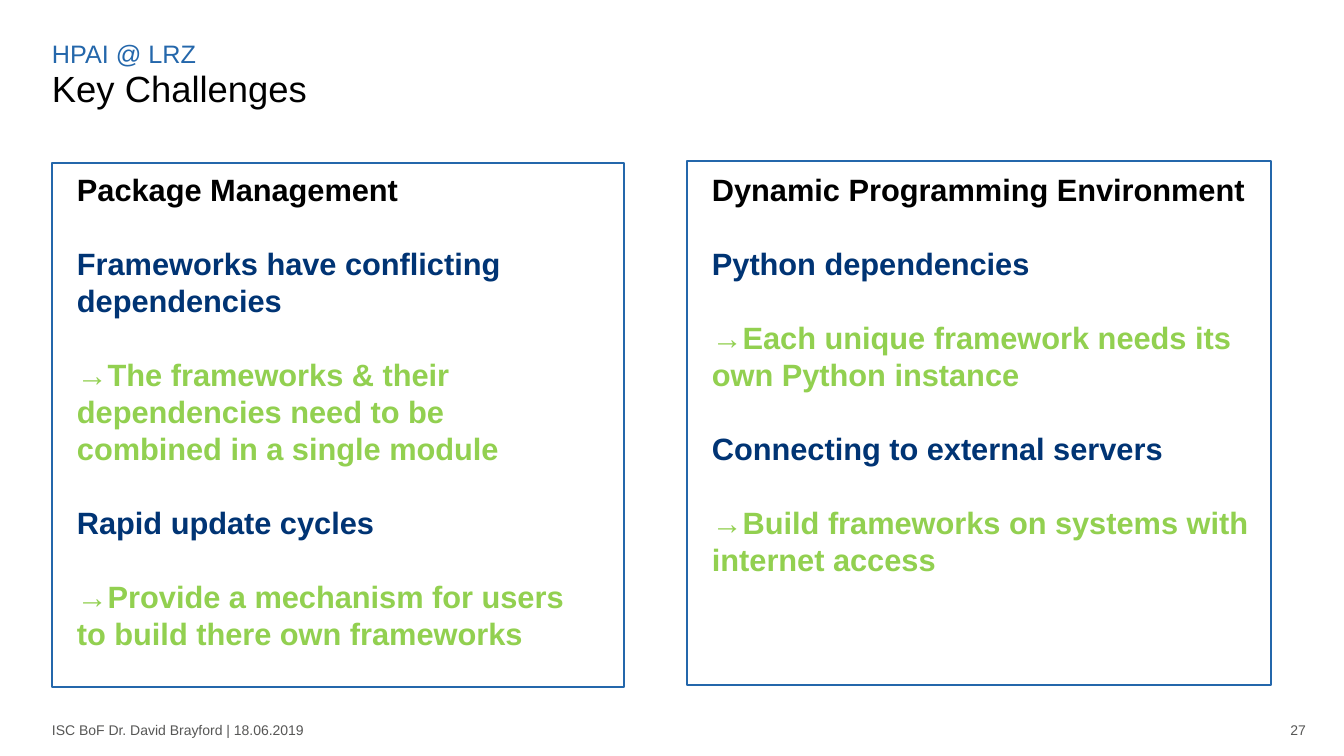
"""Build the Key Challenges slide with two framed columns of text."""
from pptx import Presentation
from pptx import util as u
from pptx.dml.color import RGBColor
from pptx.enum import shapes, text

PX = 12192000 / 1344
BLACK, NAVY, GREEN, BLUE, GREY = "000000", "003474", "92D050", "2467AB", "575756"
LINE_PITCH = 26.4

TITLE = "Key Challenges"
TITLE_BOX = (52, 71, 1155, 39)
LABELS = [
    ("HPAI @ LRZ", (52, 38, 1154, 28), dict(size=18, color=BLUE)),
    ("ISC BoF Dr. David Brayford | 18.06.2019", (52, 721, 258, 17),
     dict(size=10, color=GREY, anchor="MIDDLE", wrap=False)),
    ("27", (1271, 721, 35, 17),
     dict(size=10, color=GREY, anchor="MIDDLE", align="RIGHT")),
]
COLUMNS = [
    dict(frame=(52, 163, 572, 524), body=(77, 171, 516, 500), arrow_bold=False,
         heading="Package Management",
         challenges=[
             ("Frameworks have conflicting dependencies",
              "The frameworks & their dependencies need to be combined in a single module"),
             ("Rapid update cycles",
              "Provide a mechanism for users to build there own frameworks"),
         ]),
    dict(frame=(687, 161, 584, 524), body=(712, 171, 547, 500), arrow_bold=True,
         heading="Dynamic Programming Environment",
         challenges=[
             ("Python dependencies",
              "Each unique framework needs its own Python instance"),
             ("Connecting to external servers",
              "Build frameworks on systems with internet access"),
         ]),
]


def emu(box):
    """Turn a box in px into EMU lengths."""
    return [u.Emu(round(length * PX)) for length in box]


def rgb(color):
    """Turn a hex string into a colour."""
    return RGBColor.from_string(color)


def set_frame(shape, anchor="TOP", wrap=True):
    """Clear the margins of a text frame and set its anchor and wrap."""
    frame = shape.text_frame
    frame.margin_left = frame.margin_top = frame.margin_right = frame.margin_bottom = 0
    frame.vertical_anchor = getattr(text.MSO_ANCHOR, anchor)
    frame.auto_size = text.MSO_AUTO_SIZE.NONE
    frame.word_wrap = wrap
    return frame


def write(paragraph, words, size=22, color=BLACK, bold=False, align="LEFT"):
    """Add one formatted run to a paragraph."""
    paragraph.alignment = getattr(text.PP_ALIGN, align)
    run = paragraph.add_run()
    run.text = words
    run.font.name = "Arial"
    run.font.size = u.Pt(size)
    run.font.bold = bold
    run.font.color.rgb = rgb(color)


def add_label(slide, words, box, anchor="TOP", wrap=True, **style):
    """Add a one-line text box."""
    frame = set_frame(slide.shapes.add_textbox(*emu(box)), anchor, wrap)
    write(frame.paragraphs[0], words, **style)


def add_column(slide, column):
    """Add a framed column of challenges and their answers."""
    outline = slide.shapes.add_shape(shapes.MSO_SHAPE.RECTANGLE, *emu(column["frame"]))
    outline.shadow.inherit = False
    outline.fill.background()
    outline.line.color.rgb = rgb(BLUE)
    outline.line.width = u.Pt(1)

    frame = set_frame(slide.shapes.add_textbox(*emu(column["body"])))
    heading = frame.paragraphs[0]
    write(heading, column["heading"], bold=True)
    heading.line_spacing = u.Pt(LINE_PITCH)
    for challenge, answer in column["challenges"]:
        for words, color in ((challenge, NAVY), (answer, GREEN)):
            paragraph = frame.add_paragraph()
            paragraph.line_spacing = paragraph.space_before = u.Pt(LINE_PITCH)
            if color == GREEN:
                write(paragraph, "→", color=color, bold=column["arrow_bold"])
            write(paragraph, words, color=color, bold=True)


def main():
    """Build and save the presentation."""
    presentation = Presentation()
    presentation.slide_width, presentation.slide_height = emu((1344, 756))
    slide = presentation.slides.add_slide(presentation.slide_layouts[5])

    title = slide.shapes.title
    title.left, title.top, title.width, title.height = emu(TITLE_BOX)
    paragraph = set_frame(title, "BOTTOM").paragraphs[0]
    paragraph.line_spacing = 0.9
    write(paragraph, TITLE, size=26)

    for words, box, style in LABELS:
        add_label(slide, words, box, **style)
    for column in COLUMNS:
        add_column(slide, column)
    presentation.save("out.pptx")


if __name__ == "__main__":
    main()
